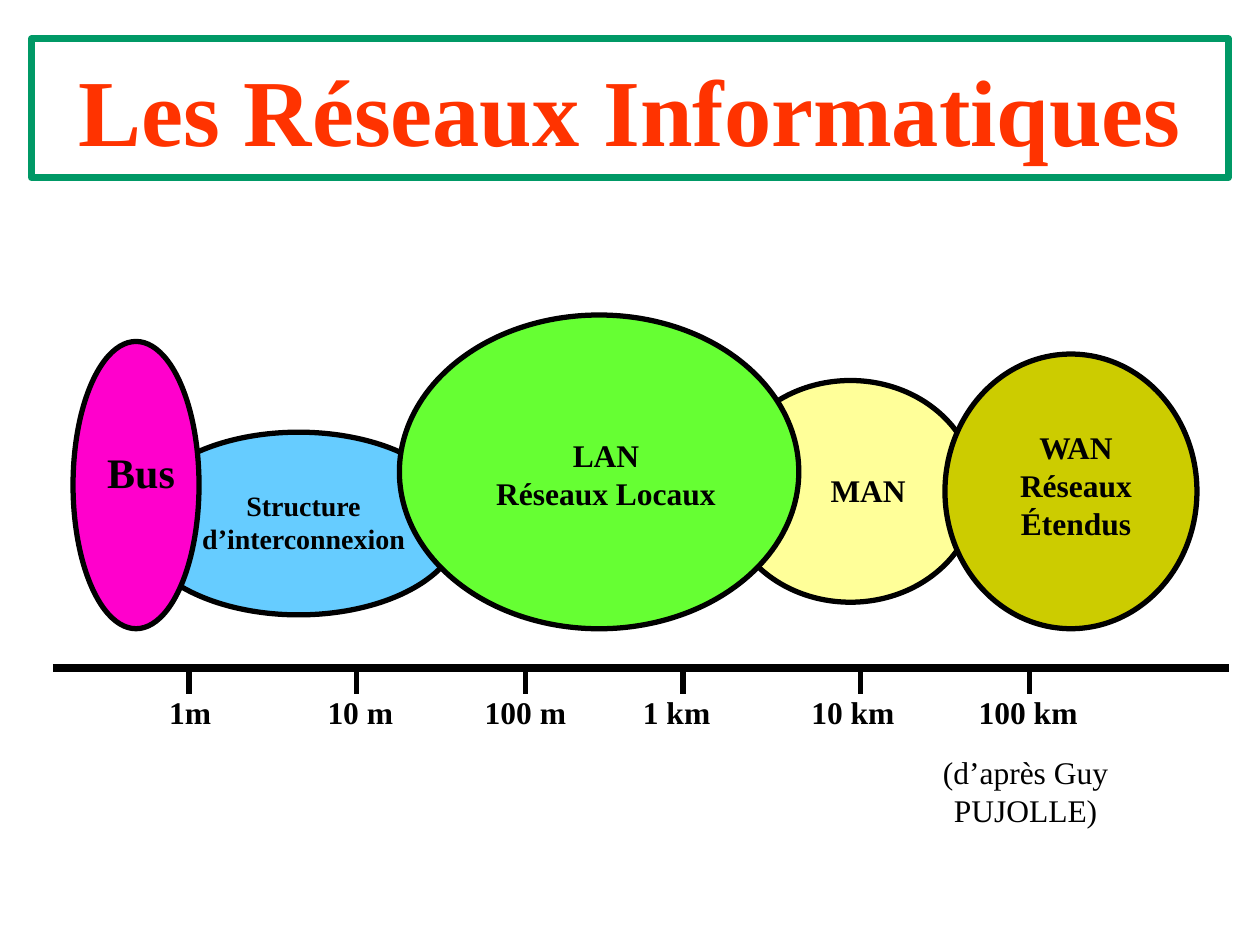
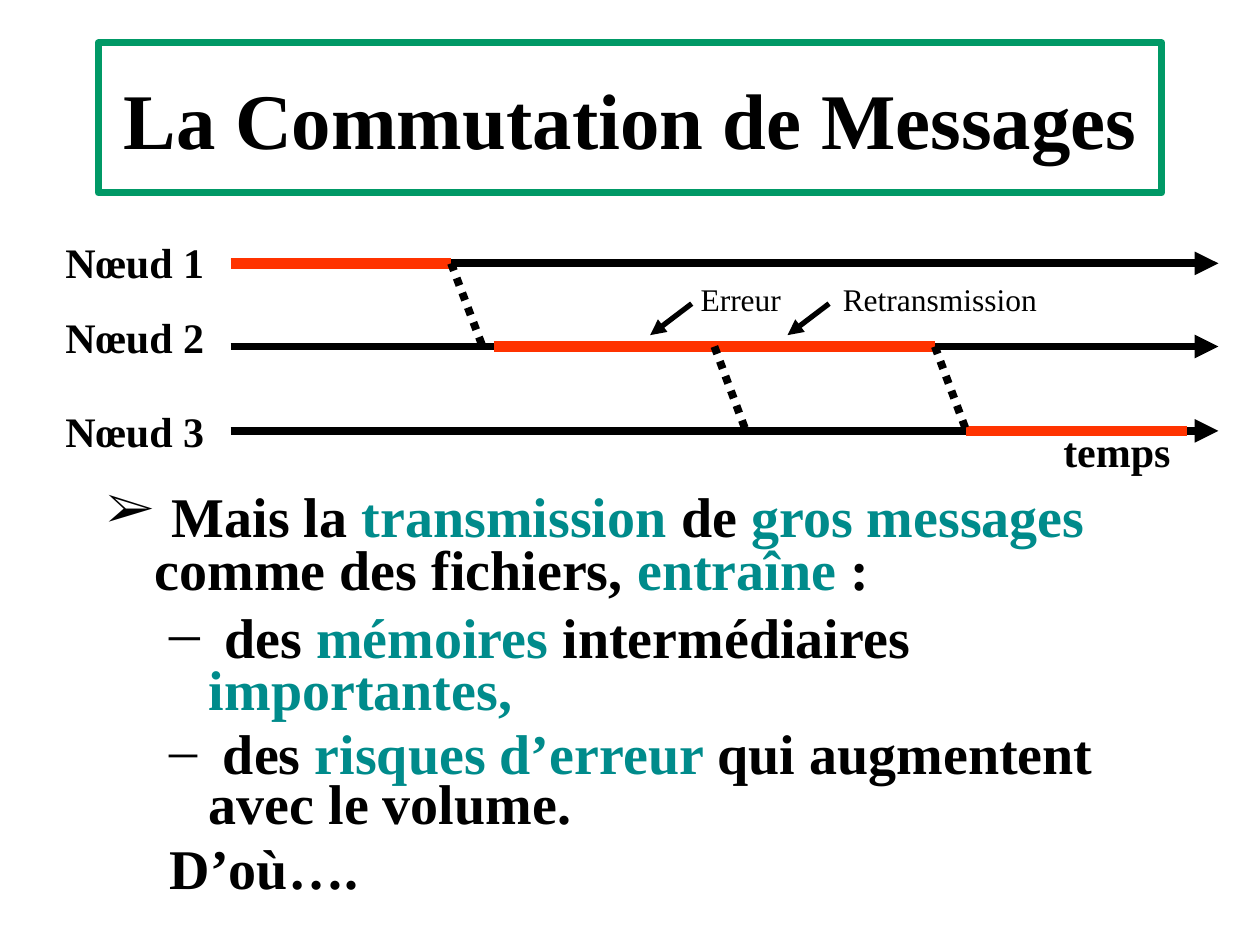
from dataclasses import dataclass

from lxml import etree
from pptx import Presentation
from pptx.dml.color import RGBColor
from pptx.enum.dml import MSO_LINE
from pptx.enum.shapes import MSO_CONNECTOR, MSO_SHAPE
from pptx.enum.text import MSO_ANCHOR, PP_ALIGN
from pptx.oxml.ns import qn
from pptx.util import Inches, Pt

STRAIGHT = MSO_CONNECTOR.STRAIGHT
RECT, OVAL = MSO_SHAPE.RECTANGLE, MSO_SHAPE.OVAL
DOTTED = MSO_LINE.ROUND_DOT
LEFT, CENTER = PP_ALIGN.LEFT, PP_ALIGN.CENTER
TOP, MIDDLE = MSO_ANCHOR.TOP, MSO_ANCHOR.MIDDLE


@dataclass(frozen=True)
class Theme:
    font: str = "Times New Roman"
    black: str = "000000"
    frame: str = "009966"
    red: str = "FF3300"
    teal: str = "008B8B"
    blue: str = "66CCFF"
    magenta: str = "FF00CC"
    yellow: str = "FFFF99"
    olive: str = "CCCC00"
    green: str = "66FF33"
    cover_size: float = 54
    title_size: float = 45
    body_size: float = 32
    large: float = 24
    normal: float = 18
    small: float = 16


class Deck:
    def __init__(self, theme):
        self.theme = theme
        self.prs = Presentation()
        self.prs.slide_width, self.prs.slide_height = Inches(10), Inches(7.5)
        self.slide = None

    def new_slide(self):
        self.slide = self.prs.slides.add_slide(self.prs.slide_layouts[6])

    def style(self, r, size, color=None, bold=True):
        r.font.name, r.font.size, r.font.bold = self.theme.font, Pt(size), bold
        r.font.color.rgb = RGBColor.from_string(color or self.theme.black)

    def fill_text(self, tf, text, size, color=None, bold=True, align=CENTER):
        tf.text = text
        for p in tf.paragraphs:
            p.alignment = align
            for r in p.runs:
                self.style(r, size, color, bold)

    def shape(self, kind, box, line, width, fill=None):
        sp = self.slide.shapes.add_shape(kind, *map(Inches, box))
        sp.shadow.inherit = False
        if fill:
            sp.fill.solid()
            sp.fill.fore_color.rgb = RGBColor.from_string(fill)
        else:
            sp.fill.background()
        sp.line.color.rgb = RGBColor.from_string(line)
        sp.line.width = Pt(width)
        return sp

    def title(self, text, box, size, color):
        sp = self.shape(RECT, box, self.theme.frame, 4)
        sp.text_frame.vertical_anchor = MIDDLE
        self.fill_text(sp.text_frame, text, size, color)

    def label(self, text, box, size, bold=True, align=CENTER, anchor=MIDDLE):
        tf = self.slide.shapes.add_textbox(*map(Inches, box)).text_frame
        tf.word_wrap = False
        tf.vertical_anchor = anchor
        self.fill_text(tf, text, size, bold=bold, align=align)

    def centred_label(self, text, cx, cy, size, bold=True):
        w, h = 2, 1
        self.label(text, (cx - w / 2, cy - h / 2, w, h), size, bold)

    def line(self, x1, y1, x2, y2, width, color=None, dash=None, arrow=False):
        c = self.slide.shapes.add_connector(STRAIGHT, *map(Inches, (x1, y1, x2, y2)))
        c.line.color.rgb = RGBColor.from_string(color or self.theme.black)
        c.line.width = Pt(width)
        if dash:
            c.line.dash_style = dash
        if arrow:
            ln = c._element.spPr.find(qn("a:ln"))
            etree.SubElement(ln, qn("a:tailEnd"), type="triangle")
        etree.SubElement(c._element.spPr, qn("a:effectLst"))

    def bullets(self, box, items):
        """Each item: bullet, its size in %, left margin, indent, runs of (text, color, size)."""
        tf = self.slide.shapes.add_textbox(*map(Inches, box)).text_frame
        tf.word_wrap = True
        for i, (bullet, percent, margin, indent, runs) in enumerate(items):
            p = tf.paragraphs[0] if i == 0 else tf.add_paragraph()
            p.line_spacing, p.space_before = 0.75, Pt(8)
            for text, color, size in runs:
                r = p.add_run()
                r.text = text
                self.style(r, size, color)
            pPr = p._p.get_or_add_pPr()
            pPr.set("marL", str(Inches(margin)))
            pPr.set("indent", str(Inches(indent)))
            if bullet:
                clr = etree.SubElement(pPr, qn("a:buClr"))
                etree.SubElement(clr, qn("a:srgbClr"), val=self.theme.black)
                etree.SubElement(pPr, qn("a:buSzPct"), val=str(percent * 1000))
                etree.SubElement(pPr, qn("a:buFont"), typeface=self.theme.font)
                etree.SubElement(pPr, qn("a:buChar"), char=bullet)
            else:
                etree.SubElement(pPr, qn("a:buNone"))


def networks_slide(deck):
    t = deck.theme
    deck.new_slide()
    deck.title("Les Réseaux Informatiques", (0.25, 0.31, 9.5, 1.1), t.cover_size, t.red)

    # Network families: ellipse, fill, label, label centre, label size
    families = [
        ((1.08, 3.43, 2.58, 1.45), t.blue, "Structure\nd’interconnexion", (2.41, 4.14), t.small),
        ((0.58, 2.71, 1, 2.28), t.magenta, "Bus", (1.12, 3.74), t.large),
        ((5.75, 3.02, 2, 1.76), t.yellow, "MAN", (6.89, 3.89), t.normal),
        ((7.5, 2.81, 2, 2.18), t.olive, "WAN\nRéseaux\nÉtendus", (8.54, 3.85), t.normal),
        ((3.17, 2.5, 3.17, 2.49), t.green, "LAN\nRéseaux Locaux", (4.81, 3.76), t.normal),
    ]
    for box, fill, *_ in families:
        deck.shape(OVAL, box, t.black, 3, fill)
    for _, _, text, centre, size in families:
        deck.centred_label(text, *centre, size)

    # Distance scale: tick position, label centre
    axis_y = 5.3
    deck.line(0.42, axis_y, 9.75, axis_y, 4.5)
    for text, x, label_x in [("1m", 1.5, 1.51), ("10 m", 2.83, 2.86), ("100 m", 4.17, 4.17),
                             ("1 km", 5.42, 5.37), ("10 km", 6.83, 6.77),
                             ("100 km", 8.17, 8.16)]:
        deck.line(x, axis_y, x, axis_y + 0.21, 3)
        deck.centred_label(text, label_x, axis_y + 0.35, t.normal)

    deck.centred_label("(d’après Guy PUJOLLE)", 8.14, 6.28, t.normal, bold=False)


def switching_slide(deck):
    t = deck.theme
    deck.new_slide()
    deck.title("La Commutation de Messages", (0.78, 0.34, 8.44, 1.19), t.title_size, t.black)

    # Consequences of large messages
    size = t.body_size
    deck.bullets((0.75, 3.83, 8.5, 3.33), [
        ("➢", 75, 0.38, -0.38, [
            (" ", t.black, 39), ("Mais la ", t.black, size), ("transmission", t.teal, size),
            (" de ", t.black, size), ("gros messages ", t.teal, size),
            ("comme des fichiers, ", t.black, size), ("entraîne ", t.teal, size),
            (":", t.black, size)]),
        ("–", 100, 0.81, -0.31, [
            (" ", t.black, 35), ("des ", t.black, size), ("mémoires ", t.teal, size),
            ("intermédiaires", t.black, size), (" importantes,", t.teal, size)]),
        ("–", 100, 0.81, -0.31, [
            (" des ", t.black, size), ("risques d’erreur ", t.teal, size),
            ("qui augmentent avec le volume.", t.black, size)]),
        (None, 100, 0.81, -0.31, [("D’où….", t.black, size)]),
    ])

    # Time axis of each node
    start, end = 1.83, 9.67
    node_y = [2.09, 2.75, 3.42]
    for i, (y, label_y) in enumerate(zip(node_y, [1.83, 2.42, 3.17]), 1):
        deck.label(f"Nœud {i}", (0.42, label_y, 1.3, 0.5), t.large, align=LEFT, anchor=TOP)
        deck.line(start, y, end, y, 4.5, arrow=True)
    deck.label("temps", (8.34, 3.33, 1.05, 0.5), t.large, align=LEFT, anchor=TOP)

    # Messages, then their hops to the next node
    duration, delay = 1.75, 0.25
    for node, x in [(0, start), (1, 3.92), (1, 5.67), (2, 7.67)]:
        deck.line(x, node_y[node], x + duration, node_y[node], 6, t.red)
    for node, x in [(0, 3.58), (1, 5.67), (1, 7.42)]:
        deck.line(x, node_y[node], x + delay, node_y[node + 1], 4.5, dash=DOTTED)

    # Events on node 2
    for text, centre, x in [("Erreur", 5.88, 5.49), ("Retransmission", 7.46, 6.58)]:
        deck.centred_label(text, centre, 2.37, t.normal, bold=False)
        deck.line(x, 2.41, x - 0.33, 2.66, 3, arrow=True)


def main():
    deck = Deck(Theme())
    networks_slide(deck)
    switching_slide(deck)
    deck.prs.save("out.pptx")


if __name__ == "__main__":
    main()
